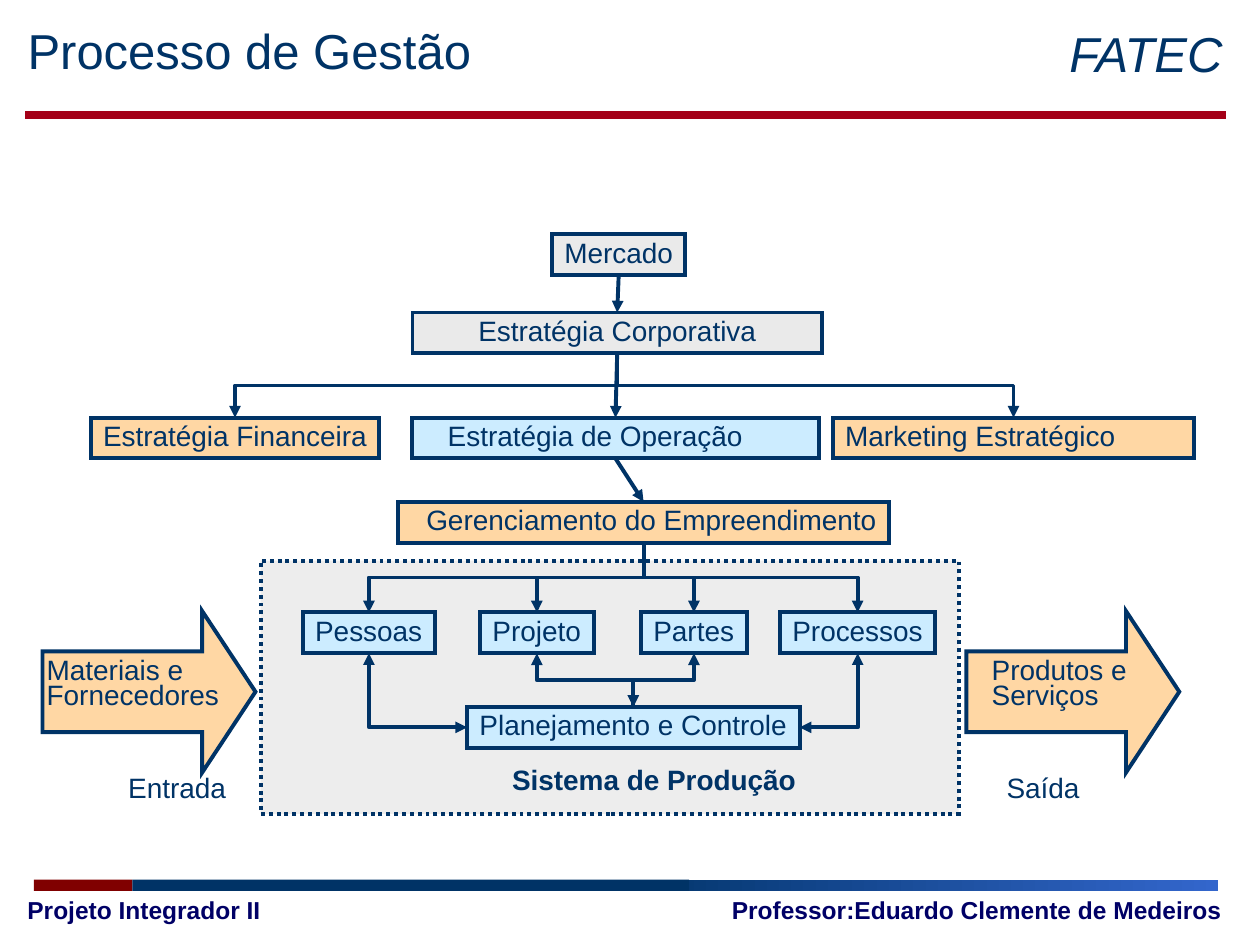
from lxml import etree
from pptx import Presentation
from pptx.dml.color import RGBColor
from pptx.enum.dml import MSO_LINE
from pptx.enum.shapes import MSO_CONNECTOR, MSO_SHAPE
from pptx.enum.text import MSO_ANCHOR, PP_ALIGN
from pptx.oxml.ns import qn
from pptx.util import Pt

RECT, ARROW = MSO_SHAPE.RECTANGLE, MSO_SHAPE.RIGHT_ARROW
STRAIGHT, ELBOW = MSO_CONNECTOR.STRAIGHT, MSO_CONNECTOR.ELBOW
LEFT, CENTER, RIGHT = PP_ALIGN.LEFT, PP_ALIGN.CENTER, PP_ALIGN.RIGHT
TOP, MIDDLE = MSO_ANCHOR.TOP, MSO_ANCHOR.MIDDLE
TOP_SIDE, BOTTOM_SIDE = 0, 2

NAVY, RED, FOOTER_BLUE = "003366", "A40018", "000066"
GRAY, SKY, PEACH = "EAEAEA", "CCECFF", "FFD7A4"
BOX_HEIGHT = 23.3
BAND_TOP, BAND_HEIGHT = 502.6, 6.5
ARROW_TOP, ARROW_WIDTH, ARROW_HEIGHT = 349.2, 121.7, 92.2

# text: left, top, width, fill, alignment, extra indent
BOXES = {
    "Mercado": (315.4, 133.9, 76.3, GRAY, CENTER, 0),
    "Estratégia Corporativa": (235.7, 178.6, 234, GRAY, CENTER, 0),
    "Estratégia Financeira": (51.8, 238.7, 165, PEACH, LEFT, 0),
    "Estratégia de Operação": (235.4, 238.7, 232.6, SKY, LEFT, 13.3),
    "Marketing Estratégico": (475.9, 238.7, 206.6, PEACH, LEFT, 0),
    "Gerenciamento do Empreendimento": (227.5, 286.8, 280.5, PEACH, LEFT, 8.9),
    "Pessoas": (173, 350, 75.6, SKY, LEFT, 0),
    "Projeto": (274.3, 350, 65, SKY, LEFT, 0),
    "Partes": (366.3, 350, 60.5, SKY, LEFT, 0),
    "Processos": (445.7, 350, 88.8, SKY, LEFT, 0),
    "Planejamento e Controle": (266.9, 404, 190, SKY, LEFT, 0),
}
STRAIGHT_LINKS = [
    ("Mercado", "Estratégia Corporativa"),
    ("Estratégia Corporativa", "Estratégia de Operação"),
    ("Estratégia de Operação", "Gerenciamento do Empreendimento"),
]
BRANCHES = {
    "Estratégia Corporativa": ["Estratégia Financeira", "Marketing Estratégico"],
    "Gerenciamento do Empreendimento": ["Pessoas", "Projeto", "Partes", "Processos"],
}
# text, left, top, width, height, line spacing, bold
LABELS = [
    ("Sistema de Produção", 285.5, 434.9, 184, 23, 0.85, True),
    ("Entrada", 66.2, 439.9, 86, 23, 0.85, False),
    ("Saída", 568.1, 439.9, 60, 23, 0.85, False),
    ("Materiais e Fornecedores", 19.6, 373.7, 126, 36, 0.75, False),
    ("Produtos e Serviços", 559.6, 373.7, 102.2, 31, 0.75, False),
]
ARROW_LEFTS = [24.3, 552.2]

prs = Presentation()
prs.slide_width, prs.slide_height = Pt(720), Pt(540)
slide = prs.slides.add_slide(prs.slide_layouts[5])
shapes = slide.shapes


def rgb(hex_color):
    return RGBColor.from_string(hex_color)


def write(shape, text, size=16, color=NAVY, align=LEFT, anchor=TOP,
          spacing=0.85, indent=0, wrap=True, bold=False, italic=False):
    frame = shape.text_frame
    frame.text = text
    frame.word_wrap = wrap
    frame.vertical_anchor = anchor
    frame.margin_left, frame.margin_right = Pt(7.2 + indent), Pt(7.2)
    frame.margin_top = frame.margin_bottom = Pt(3.6)
    paragraph = frame.paragraphs[0]
    paragraph.alignment = align
    paragraph.line_spacing = spacing
    paragraph.space_before = Pt(0)
    font = paragraph.runs[0].font
    font.name, font.size = "Arial", Pt(size)
    font.bold, font.italic = bold, italic
    font.color.rgb = rgb(color)


def add_text(text, left, top, width, height, **style):
    write(shapes.add_textbox(Pt(left), Pt(top), Pt(width), Pt(height)), text, **style)


def add_block(kind, left, top, width, height, fill, outlined=True):
    block = shapes.add_shape(kind, Pt(left), Pt(top), Pt(width), Pt(height))
    block.shadow.inherit = False
    block.fill.solid()
    block.fill.fore_color.rgb = rgb(fill)
    if outlined:
        block.line.color.rgb = rgb(NAVY)
        block.line.width = Pt(2.25)
        outline = block._element.spPr.find(qn("a:ln"))
        etree.SubElement(outline, qn("a:miter"), lim="800000")
    else:
        block.line.fill.background()
    return block


def add_line(kind, start, end, color=NAVY, width=2.25, arrows=("tailEnd",)):
    line = shapes.add_connector(kind, *map(Pt, start + end))
    line.line.color.rgb = rgb(color)
    line.line.width = Pt(width)
    stroke = line._element.spPr.find(qn("a:ln"))
    for arrow in arrows:
        etree.SubElement(stroke, qn("a:" + arrow), type="triangle")
    etree.SubElement(line._element.spPr, qn("a:effectLst"))
    return line


def add_elbow(start, end, preset="bentConnector3", arrows=("tailEnd",)):
    """Bent connector that leaves start downwards: a quarter turn of the preset."""
    (x1, y1), (x2, y2) = start, end
    run, drop = abs(x2 - x1), y2 - y1
    elbow = add_line(ELBOW, start, end, arrows=arrows)
    elbow.left, elbow.top = Pt((x1 + x2 - drop) / 2), Pt((y1 + y2 - run) / 2)
    elbow.width, elbow.height = Pt(drop), Pt(run)
    properties = elbow._element.spPr
    xfrm = properties.find(qn("a:xfrm"))
    xfrm.attrib.pop("flipH", None)
    xfrm.set("rot", "5400000")
    if x2 > x1:
        xfrm.set("flipV", "1")
    properties.find(qn("a:prstGeom")).set("prst", preset)


def top_of(name):
    left, top, width = BOXES[name][:3]
    return left + width / 2, top


def bottom_of(name):
    x, top = top_of(name)
    return x, top + BOX_HEIGHT


# Header and footer
title = shapes.title
title.left, title.top, title.width, title.height = map(Pt, (8.6, 13, 487.4, 36))
write(title, "Processo de Gestão", size=28)
add_text("FATEC", 569.5, 15.1, 136.1, 36, size=28, align=RIGHT, italic=True)
add_line(STRAIGHT, (14.4, 65.9), (700.6, 65.9), RED, 4.5, arrows=())

fade = add_block(RECT, 340.6, BAND_TOP, 355.7, BAND_HEIGHT, NAVY, outlined=False)
fade.fill.gradient()
fade.fill.gradient_angle = 0
for stop, color in zip(fade.fill.gradient_stops, (NAVY, "3366CC")):
    stop.color.rgb = rgb(color)
add_block(RECT, 19.4, BAND_TOP, 56.2, BAND_HEIGHT, "800000", outlined=False)
add_block(RECT, 75.6, BAND_TOP, 318.2, BAND_HEIGHT, NAVY, outlined=False)
for text, left, width in [("Projeto Integrador II", 8.6, 277.9),
                          ("Professor:Eduardo Clemente de Medeiros", 411.1, 295.2)]:
    add_text(text, left, 502.6, width, 37.4, size=14, color=FOOTER_BLUE,
             anchor=MIDDLE, bold=True)

# Production system panel
panel = add_block(RECT, 149, 320.4, 398.9, 144.7, "DDDDDD")
panel.line.dash_style = MSO_LINE.ROUND_DOT
panel_color = panel._element.spPr.find(qn("a:solidFill"))[0]
etree.SubElement(panel_color, qn("a:alpha"), val="50000")

# Boxes, arrows and labels
boxes = {}
for text, (left, top, width, fill, align, indent) in BOXES.items():
    boxes[text] = add_block(RECT, left, top, width, BOX_HEIGHT, fill)
    write(boxes[text], text, align=align, indent=indent, wrap=False)
for left in ARROW_LEFTS:
    flow = add_block(ARROW, left, ARROW_TOP, ARROW_WIDTH, ARROW_HEIGHT, PEACH)
    flow.adjustments[1] = 0.33
for text, left, top, width, height, spacing, bold in LABELS:
    add_text(text, left, top, width, height, spacing=spacing, bold=bold)

# Links
for upper, lower in STRAIGHT_LINKS:
    link = add_line(STRAIGHT, bottom_of(upper), top_of(lower))
    link.begin_connect(boxes[upper], BOTTOM_SIDE)
    link.end_connect(boxes[lower], TOP_SIDE)
for parent, children in BRANCHES.items():
    for child in children:
        add_elbow(bottom_of(parent), top_of(child))

control = "Planejamento e Controle"
control_left, control_top, control_width = BOXES[control][:3]
control_middle = control_top + BOX_HEIGHT / 2
both_ends = ("headEnd", "tailEnd")
add_elbow(bottom_of("Projeto"), top_of(control), arrows=("headEnd",))
add_elbow(bottom_of("Partes"), top_of(control), arrows=both_ends)
for name, side in [("Pessoas", control_left), ("Processos", control_left + control_width)]:
    add_elbow(bottom_of(name), (side, control_middle), "bentConnector2", both_ends)

prs.save("out.pptx")
